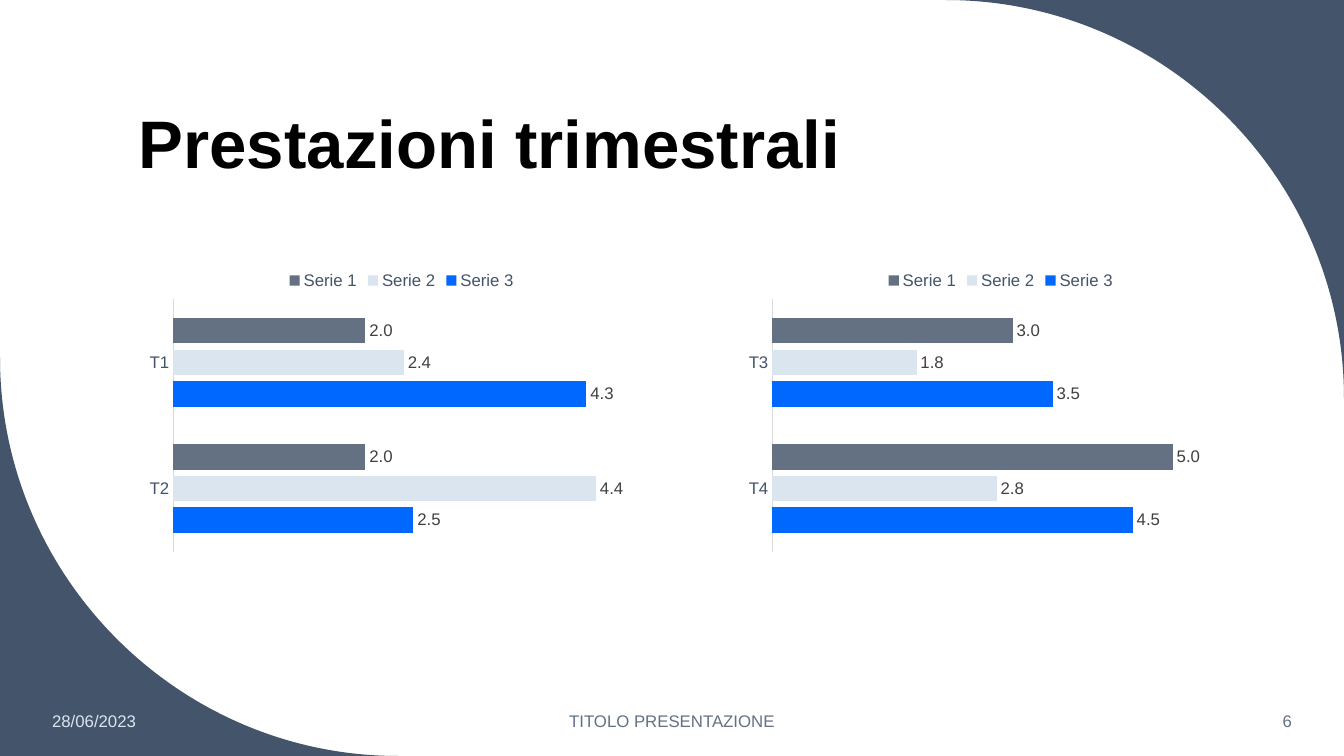
from dataclasses import dataclass

from lxml.etree import SubElement
from pptx import Presentation
from pptx.chart.data import CategoryChartData
from pptx.dml.color import RGBColor
from pptx.enum.chart import (XL_CHART_TYPE, XL_LABEL_POSITION,
                             XL_LEGEND_POSITION, XL_TICK_MARK)
from pptx.enum.text import MSO_ANCHOR, PP_ALIGN
from pptx.oxml.ns import qn
from pptx.util import Pt


@dataclass(frozen=True)
class Theme:
    font: str = "Arial"
    title_size: int = 48
    small_size: int = 12
    chart_size: int = 10
    black: str = "000000"
    slate: str = "44546A"
    gray: str = "637183"
    pale: str = "DAE5EF"
    blue: str = "0068FF"
    label: str = "404040"
    axis: str = "D9D9D9"


@dataclass(frozen=True)
class Box:
    left: float
    top: float
    width: float
    height: float

    @property
    def right(self):
        return self.left + self.width

    @property
    def bottom(self):
        return self.top + self.height


THEME = Theme()
PAGE = Box(0, 0, 960, 540)
SERIES_COLORS = {"Serie 3": THEME.blue, "Serie 2": THEME.pale,
                 "Serie 1": THEME.gray}


def style_font(font, size, color, bold=False):
    font.name = THEME.font
    font.size = Pt(size)
    font.bold = bold
    font.color.rgb = RGBColor.from_string(color)


def add_text(page, box, text, size, color, align=PP_ALIGN.LEFT,
             anchor=MSO_ANCHOR.MIDDLE, bold=False, spacing=1.0):
    frame = page.shapes.add_textbox(Pt(box.left), Pt(box.top),
                                    Pt(box.width), Pt(box.height)).text_frame
    frame.word_wrap = True
    frame.vertical_anchor = anchor
    para = frame.paragraphs[0]
    para.alignment = align
    para.line_spacing = spacing
    span = para.add_run()
    span.text = text
    style_font(span.font, size, color, bold)


def bend_last_side(shape, corner):
    """Turn the last straight side into a quarter circle bulging to corner."""
    bend = 0.55
    start, end = list(shape.element.iter(qn("a:lnTo")))
    ends = [side.find(qn("a:pt")) for side in (start, end)]
    curve = SubElement(end.getparent(), qn("a:cubicBezTo"))
    for point in ends:
        control = SubElement(curve, qn("a:pt"))
        for axis, target in zip("xy", corner):
            value = int(point.get(axis))
            control.set(axis, str(round(value + bend * (target - value))))
    curve.append(ends[1])
    end.getparent().replace(end, curve)


def add_corner(page, box, at_right):
    """Fill the top right or bottom left of a box outside its quarter circle."""
    x, far_x = (box.right, box.left) if at_right else (box.left, box.right)
    y, far_y = (box.top, box.bottom) if at_right else (box.bottom, box.top)
    builder = page.shapes.build_freeform(Pt(x), Pt(y))
    builder.add_line_segments([(Pt(far_x), Pt(y)), (Pt(x), Pt(far_y))],
                              close=True)
    shape = builder.convert_to_shape()
    bend_last_side(shape, (Pt(x - box.left), Pt(y - box.top)))
    shape.shadow.inherit = False
    shape.fill.solid()
    shape.fill.fore_color.rgb = RGBColor.from_string(THEME.slate)
    shape.line.fill.background()


def add_backdrop(page, box):
    size = 284.4
    add_corner(page, Box(box.right - size, box.top, size, size), True)
    add_corner(page, Box(box.left, box.bottom - size, size, size), False)


def add_quarter_chart(page, box, quarters, values):
    data = CategoryChartData(number_format="#,##0.0")
    data.categories = quarters
    for name, numbers in zip(SERIES_COLORS, values):
        data.add_series(name, numbers)
    chart = page.shapes.add_chart(
        XL_CHART_TYPE.BAR_CLUSTERED, Pt(box.left), Pt(box.top),
        Pt(box.width), Pt(box.height), data).chart
    style_font(chart.font, THEME.chart_size, THEME.black)
    chart.has_title = False
    chart.has_legend = True
    chart.legend.position = XL_LEGEND_POSITION.TOP
    chart.legend.include_in_layout = False
    style_font(chart.legend.font, THEME.small_size, THEME.slate)

    chart.value_axis.visible = False
    chart.value_axis.has_major_gridlines = False
    axis = chart.category_axis
    axis.major_tick_mark = axis.minor_tick_mark = XL_TICK_MARK.NONE
    axis.format.line.color.rgb = RGBColor.from_string(THEME.axis)
    axis.format.line.width = Pt(0.75)
    style_font(axis.tick_labels.font, THEME.small_size, THEME.slate)

    plot = chart.plots[0]
    plot.vary_by_categories = False
    plot.gap_width = 150
    plot.overlap = -25
    for series in plot.series:
        series.format.fill.solid()
        series.format.fill.fore_color.rgb = RGBColor.from_string(
            SERIES_COLORS[series.name])
        labels = series.data_labels
        labels.show_value = True
        labels.position = XL_LABEL_POSITION.OUTSIDE_END
        labels.number_format = "#,##0.0"
        labels.number_format_is_linked = False
        style_font(labels.font, THEME.small_size, THEME.label)


def add_charts(page, box):
    width = 375.12
    add_quarter_chart(page, Box(box.left, box.top, width, box.height),
                      ["T2", "T1"], [(2.5, 4.3), (4.4, 2.4), (2, 2)])
    add_quarter_chart(
        page, Box(box.right - width, box.top, width, box.height),
        ["T4", "T3"], [(4.5, 3.5), (2.8, 1.8), (5, 3)])


def add_footer(page, box):
    side, middle = 132, 324
    center = box.left + (box.width - middle) / 2
    parts = [
        ("28/06/2023", box.left, side, THEME.pale, PP_ALIGN.LEFT),
        ("TITOLO PRESENTAZIONE", center, middle, THEME.gray, PP_ALIGN.CENTER),
        ("6", box.right - side, side, THEME.gray, PP_ALIGN.RIGHT),
    ]
    for text, left, width, color, align in parts:
        add_text(page, Box(left, box.top, width, box.height), text,
                 THEME.small_size, color, align)


def main():
    deck = Presentation()
    deck.slide_width, deck.slide_height = Pt(PAGE.width), Pt(PAGE.height)
    page = deck.slides.add_slide(deck.slide_layouts[6])
    add_backdrop(page, PAGE)
    add_text(page, Box(92, 30, 770, 104.5), "Prestazioni trimestrali",
             THEME.title_size, THEME.black, anchor=MSO_ANCHOR.BOTTOM,
             bold=True, spacing=0.9)
    add_charts(page, Box(99.36, 185.9, 803.1, 212.4))
    add_footer(page, Box(30.1, 500.6, 899.8, 28.8))
    deck.save("out.pptx")


if __name__ == "__main__":
    main()
